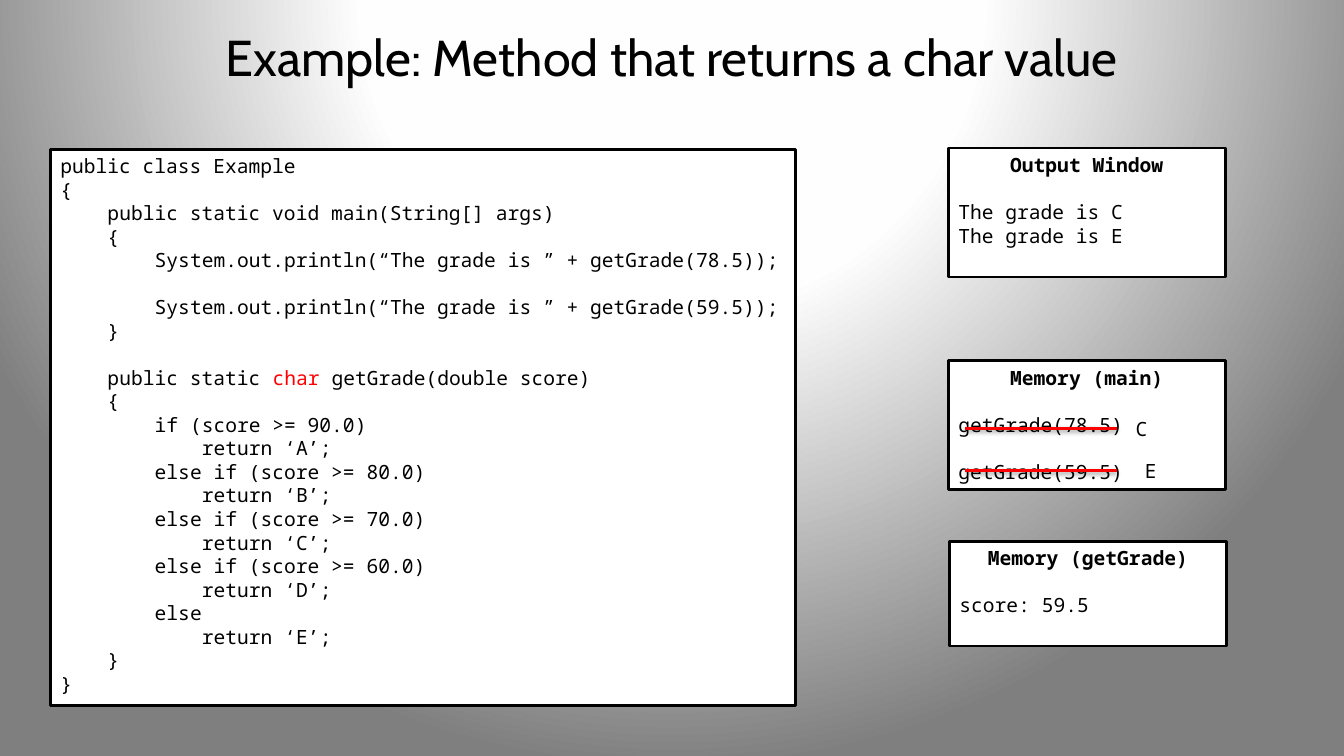
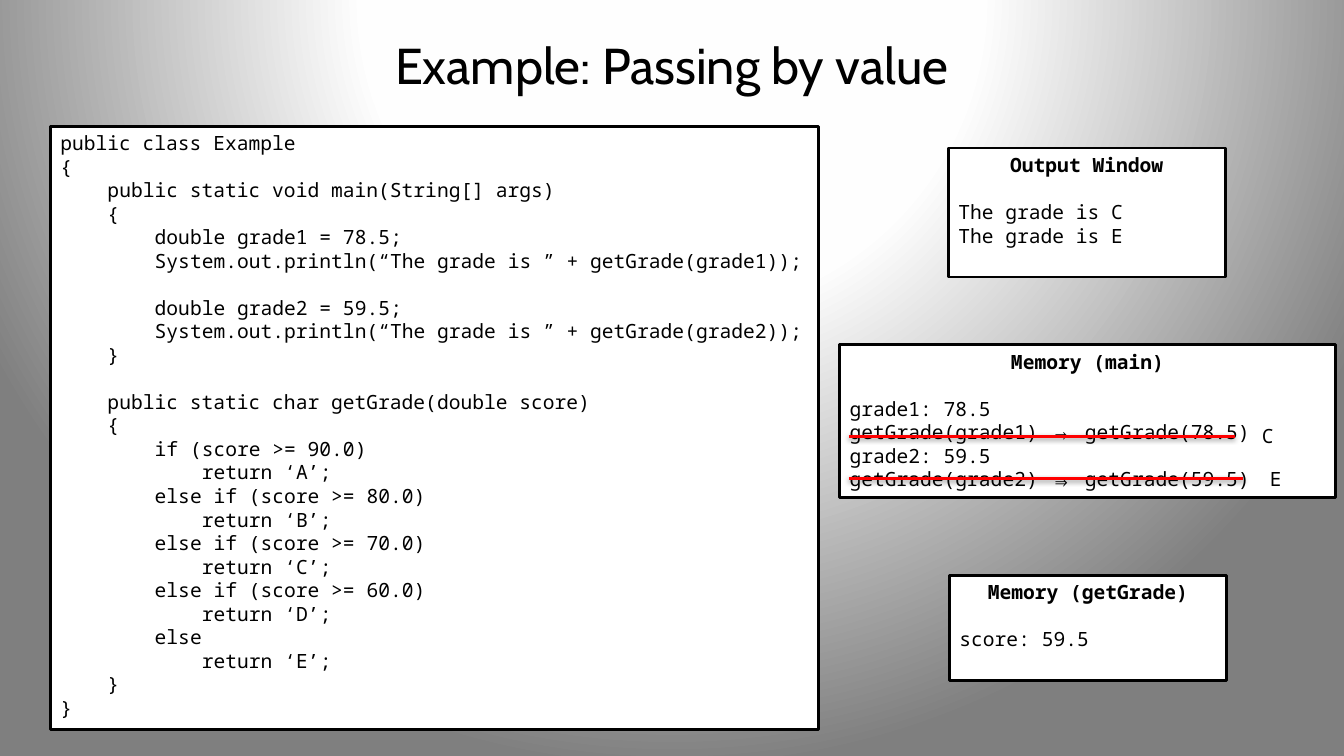
from lxml import etree
from pptx import Presentation
from pptx.dml.color import RGBColor
from pptx.enum import shapes, text
from pptx.oxml import parse_xml
from pptx.oxml.ns import qn
from pptx.util import Cm, Pt

TITLE_FONT, CODE_FONT = "Cabin", "Noto Sans Mono"
BLACK, WHITE, RED = "000000", "FFFFFF", "FF0000"
BACKDROP = [(0, WHITE), (40, "FEFEFE"), (100, "7F7F7F")]
INDENT = Cm(1.19)       # four characters of code
BLANK_LINE = Cm(0.59)   # one empty line of code

GRADE_METHOD = """
    public static char getGrade(double score)
    {
        if (score >= 90.0)
            return ‘A’;
        else if (score >= 80.0)
            return ‘B’;
        else if (score >= 70.0)
            return ‘C’;
        else if (score >= 60.0)
            return ‘D’;
        else
            return ‘E’;
    }
}"""

RETURN_CODE = """public class Example
{
    public static void main(String[] args)
    {
        System.out.println(“The grade is ” + getGrade(78.5));

        System.out.println(“The grade is ” + getGrade(59.5));
    }
""" + GRADE_METHOD

PASSING_CODE = """public class Example
{
    public static void main(String[] args)
    {
        double grade1 = 78.5;
        System.out.println(“The grade is ” + getGrade(grade1));

        double grade2 = 59.5;
        System.out.println(“The grade is ” + getGrade(grade2));
    }
""" + GRADE_METHOD

OUTPUT = "Output Window\n\nThe grade is C\nThe grade is E"
RETURN_MEMORY = "Memory (main)\n\ngetGrade(78.5)\n\ngetGrade(59.5)"
PASSING_MEMORY = """Memory (main)

grade1: 78.5
getGrade(grade1) ⇒ getGrade(78.5)
grade2: 59.5
getGrade(grade2) ⇒ getGrade(59.5)"""
METHOD_MEMORY = "Memory (getGrade)\n\nscore: 59.5"


def color(value):
    return RGBColor.from_string(value)


def style(span, size=14, font=CODE_FONT, fill=BLACK, bold=False):
    span.font.size, span.font.name, span.font.bold = Pt(size), font, bold
    span.font.color.rgb = color(fill)


def set_backdrop(master):
    """Radial gradient that every slide inherits."""
    master.background.fill.solid()
    properties = master.element.find(".//" + qn("p:bgPr"))
    stops = "".join(f'<a:gs pos="{place * 1000}"><a:srgbClr val="{value}"/></a:gs>'
                    for place, value in BACKDROP)
    gradient = parse_xml(
        '<a:gradFill xmlns:a="http://schemas.openxmlformats.org/drawingml/2006/main"'
        f' rotWithShape="1"><a:gsLst>{stops}</a:gsLst><a:path path="circle">'
        '<a:fillToRect l="50000" t="-80000" r="50000" b="180000"/></a:path></a:gradFill>')
    properties.replace(properties.find(qn("a:solidFill")), gradient)


def add_title(page, words, top):
    box = page.shapes.add_textbox(Cm(1.69), Cm(top), Cm(30.48), Cm(1.98))
    frame = box.text_frame
    frame.word_wrap = True
    frame.vertical_anchor = text.MSO_ANCHOR.MIDDLE
    frame.text = words
    para = frame.paragraphs[0]
    para.alignment = text.PP_ALIGN.CENTER
    style(para.runs[0], 36, TITLE_FONT)


def fill_lines(frame, listing, heading, highlight):
    """Turn leading spaces into indents and empty lines into spacing."""
    gap, para = 0, None
    for line in listing.split("\n"):
        words = line.lstrip()
        if not words:
            gap += BLANK_LINE
            continue
        first = para is None
        para = frame.paragraphs[0] if first else frame.add_paragraph()
        para.alignment = text.PP_ALIGN.CENTER if first and heading else text.PP_ALIGN.LEFT
        para.space_before, gap = gap, 0
        depth = (len(line) - len(words)) // 4
        para._p.get_or_add_pPr().set("marL", str(depth * INDENT))
        pieces = words.partition(highlight) if highlight else [words]
        for piece in filter(None, pieces):
            span = para.add_run()
            span.text = piece
            style(span, fill=RED if piece == highlight else BLACK,
                  bold=first and heading)


def add_panel(page, left, top, width, height, listing, heading=True, highlight=None):
    box = page.shapes.add_shape(shapes.MSO_SHAPE.RECTANGLE,
                                Cm(left), Cm(top), Cm(width), Cm(height))
    box.shadow.inherit = False
    box.fill.solid()
    box.fill.fore_color.rgb = color(WHITE)
    box.line.color.rgb = color(BLACK)
    box.line.width = Pt(2)
    box.text_frame.word_wrap = True
    box.text_frame.vertical_anchor = text.MSO_ANCHOR.TOP
    fill_lines(box.text_frame, listing, heading, highlight)


def add_strike(page, left, right, level):
    line = page.shapes.add_connector(shapes.MSO_CONNECTOR.STRAIGHT,
                                     Cm(left), Cm(level), Cm(right), Cm(level))
    line.line.color.rgb = color(RED)
    line.line.width = Pt(2)
    effects = etree.SubElement(line._element.spPr, qn("a:effectLst"))
    shadow = etree.SubElement(effects, qn("a:outerShdw"), blurRad="40000",
                              dist="20000", dir="5400000", rotWithShape="0")
    shade = etree.SubElement(shadow, qn("a:srgbClr"), val=BLACK)
    etree.SubElement(shade, qn("a:alpha"), val="38000")


def add_result(page, left, top, letter):
    box = page.shapes.add_textbox(Cm(left), Cm(top), Cm(0.81), Cm(0.86))
    box.text_frame.word_wrap = False
    box.text_frame.text = letter
    style(box.text_frame.paragraphs[0].runs[0])


def add_main_memory(page, left, top, width, height, listing, inset, drop, results):
    """Memory panel whose calls are struck out and replaced by their results."""
    add_panel(page, left, top, width, height, listing)
    for row, (letter, length, gap) in enumerate(results):
        start, level = left + inset, top + drop + 1.06 * row
        add_strike(page, start, start + length, level)
        add_result(page, start + length + gap, level - 0.43, letter)


def add_example(deck, title, title_top, code, memory, method_top):
    page = deck.slides.add_slide(deck.slide_layouts[6])
    add_title(page, title, title_top)
    add_panel(page, heading=False, **code)
    add_panel(page, 23.9, 3.73, 6.98, 3.25, OUTPUT)
    add_main_memory(page, **memory)
    add_panel(page, 23.93, method_top, 6.98, 2.64, METHOD_MEMORY)


deck = Presentation()
deck.slide_width, deck.slide_height = Cm(33.87), Cm(19.05)
set_backdrop(deck.slide_master)

add_example(
    deck, "Example: Method that returns a char value", 0.43,
    code=dict(left=1.27, top=3.76, width=18.77, height=14.02,
              listing=RETURN_CODE, highlight="char "),
    memory=dict(left=23.9, top=9.09, width=6.98, height=3.25, listing=RETURN_MEMORY,
                inset=0.43, drop=1.71, results=[("C", 3.81, 0.23), ("E", 3.81, 0.46)]),
    method_top=13.64)

add_example(
    deck, "Example: Passing by value", 0.64,
    code=dict(left=1.27, top=3.18, width=19.35, height=15.21, listing=PASSING_CODE),
    memory=dict(left=21.16, top=8.69, width=12.5, height=3.84, listing=PASSING_MEMORY,
                inset=0.23, drop=2.31, results=[("C", 9.73, 0.43), ("E", 9.94, 0.42)]),
    method_top=14.5)

deck.save("out.pptx")
